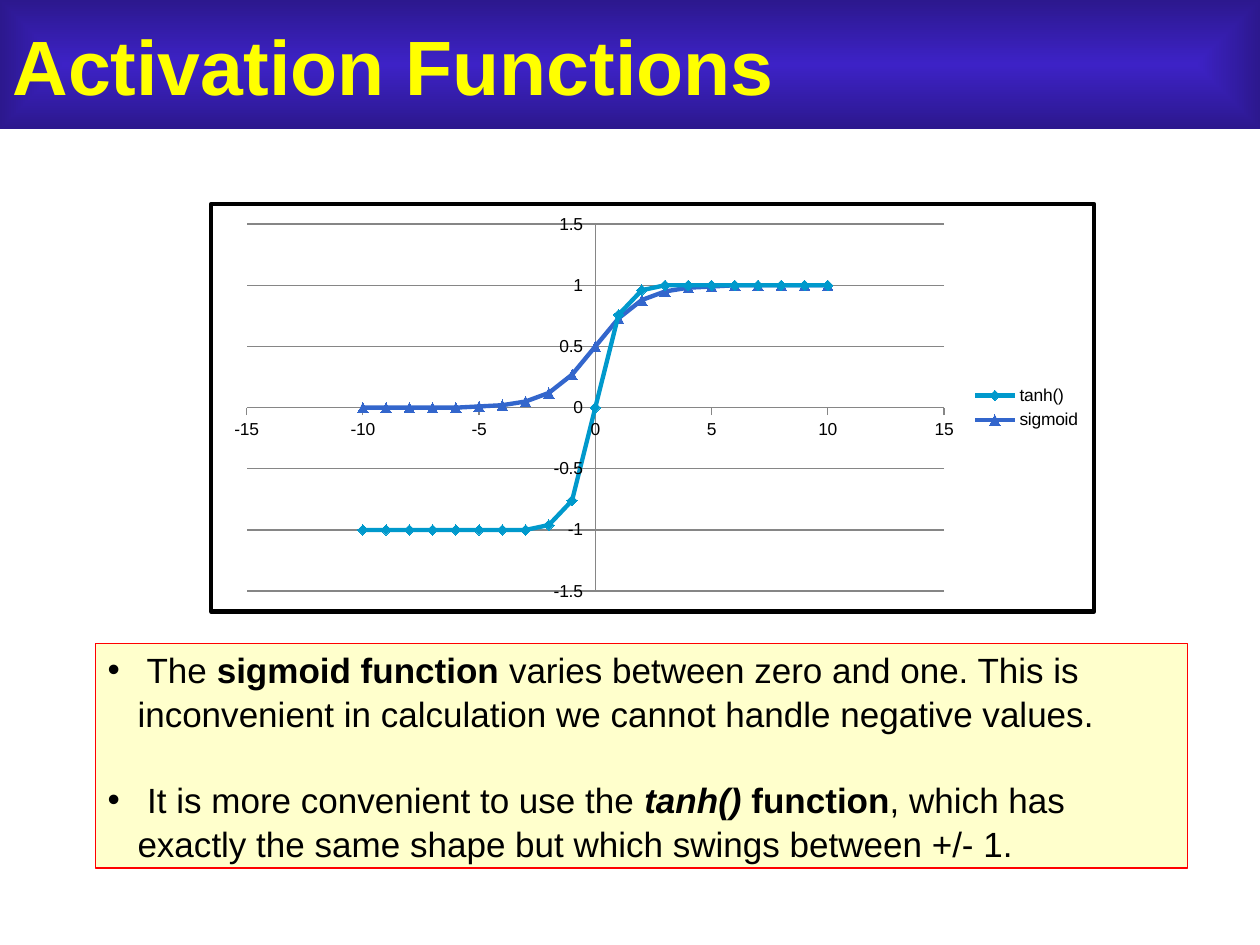
import math

from lxml import etree
from pptx import Presentation
from pptx.chart.data import XyChartData
from pptx.dml.color import RGBColor
from pptx.enum.chart import XL_CHART_TYPE, XL_LEGEND_POSITION, XL_MARKER_STYLE, XL_TICK_MARK
from pptx.enum.shapes import MSO_SHAPE
from pptx.enum.text import MSO_ANCHOR, PP_ALIGN
from pptx.oxml import parse_xml
from pptx.util import Pt

SCATTER = XL_CHART_TYPE.XY_SCATTER_SMOOTH
LEGEND_RIGHT = XL_LEGEND_POSITION.RIGHT
DIAMOND, TRIANGLE = XL_MARKER_STYLE.DIAMOND, XL_MARKER_STYLE.TRIANGLE
TICK_OUT, TICK_NONE = XL_TICK_MARK.OUTSIDE, XL_TICK_MARK.NONE
MIDDLE, LEFT = MSO_ANCHOR.MIDDLE, PP_ALIGN.LEFT
FONT = "Arial"
A = "http://schemas.openxmlformats.org/drawingml/2006/main"
C = "http://schemas.openxmlformats.org/drawingml/2006/chart"


def rgb(value):
    return RGBColor.from_string(value)


def style(font, size, color, bold=False, italic=False):
    font.name, font.size, font.bold, font.italic = FONT, Pt(size), bold, italic
    font.color.rgb = rgb(color)


prs = Presentation()
prs.slide_width, prs.slide_height = Pt(720), Pt(540)
s = prs.slides.add_slide(prs.slide_layouts[5])

title = s.shapes.title
title.left, title.top, title.width, title.height = Pt(0), Pt(0), Pt(720), Pt(73.5)
title.fill.gradient()
for stop, color in zip(title.fill.gradient_stops, ("3D22C6", "2C188E")):
    stop.color.rgb = rgb(color)
grad = title.element.spPr.find(f"{{{A}}}gradFill")
grad.remove(grad.find(f"{{{A}}}lin"))
grad.append(parse_xml(
    f'<a:path xmlns:a="{A}" path="shape">'
    '<a:fillToRect l="50000" t="50000" r="50000" b="50000"/></a:path>'))
tf = title.text_frame
tf.vertical_anchor = MIDDLE
p = tf.paragraphs[0]
p.alignment = LEFT
r = p.add_run()
r.text = "Activation Functions"
style(r.font, 44, "FFFF00", bold=True)

notes = s.shapes.add_shape(MSO_SHAPE.RECTANGLE, Pt(54.5), Pt(367.75), Pt(624.25), Pt(128.25))
notes.shadow.inherit = False
notes.fill.solid()
notes.fill.fore_color.rgb = rgb("FFFFCC")
notes.line.color.rgb = rgb("FF0000")
notes.line.width = Pt(0.75)
tf = notes.text_frame
tf.word_wrap = True
tf.vertical_anchor = MIDDLE
bullets = [
    [(" The ", False, False), ("sigmoid function ", True, False),
     ("varies between zero and one. This is inconvenient in calculation "
      "we cannot handle negative values.", False, False)],
    [(" It is more convenient to use the ", False, False), ("tanh()", True, True),
     (" function", True, False),
     (", which has exactly the same shape but which swings between +/- 1.", False, False)],
]
for i, runs in enumerate(bullets):
    p = tf.add_paragraph() if i else tf.paragraphs[0]
    p.alignment = LEFT
    p.line_spacing = 1.05
    if i:
        p.space_before = Pt(24)
    pPr = p._p.get_or_add_pPr()
    pPr.set("marL", str(Pt(17)))
    pPr.set("indent", str(-Pt(17)))
    etree.SubElement(pPr, f"{{{A}}}buFont", typeface=FONT)
    etree.SubElement(pPr, f"{{{A}}}buChar", char="•")
    for text, bold, italic in runs:
        r = p.add_run()
        r.text = text
        style(r.font, 20, "000000", bold, italic)

functions = [
    ("tanh()", math.tanh, "0099CC", DIAMOND),
    ("sigmoid", lambda x: 1 / (1 + math.exp(-x)), "3366CC", TRIANGLE),
]
data = XyChartData()
for name, function, _, _ in functions:
    points = data.add_series(name)
    for x in range(-10, 11):
        points.add_data_point(x, round(function(x), 2))
chart = s.shapes.add_chart(SCATTER, Pt(119.5), Pt(115.25), Pt(507), Pt(235.5), data).chart
chart.has_title = False
style(chart.font, 10, "000000")
chart.has_legend = True
chart.legend.position = LEGEND_RIGHT
chart.legend.include_in_layout = False

for series, (_, _, color, marker) in zip(chart.plots[0].series, functions):
    series.smooth = True
    series.format.line.color.rgb = rgb(color)
    series.format.line.width = Pt(2.5)
    series.marker.style = marker
    series.marker.size = 6
    series.marker.format.fill.solid()
    series.marker.format.fill.fore_color.rgb = rgb(color)
    series.marker.format.line.color.rgb = rgb(color)

for axis, limit, step in ((chart.category_axis, 15, 5), (chart.value_axis, 1.5, 0.5)):
    axis.minimum_scale, axis.maximum_scale, axis.major_unit = -limit, limit, step
    axis.major_tick_mark, axis.minor_tick_mark = TICK_OUT, TICK_NONE
    axis.tick_labels.number_format = "General"
    axis.tick_labels.number_format_is_linked = False
    axis.format.line.color.rgb = rgb("868686")
    axis.format.line.width = Pt(0.75)
chart.category_axis.has_major_gridlines = False
grid_line = chart.value_axis.major_gridlines.format.line
grid_line.color.rgb = rgb("868686")
grid_line.width = Pt(0.75)

space = chart._chartSpace
space.find(f"{{{C}}}txPr").addprevious(parse_xml(
    f'<c:spPr xmlns:c="{C}" xmlns:a="{A}">'
    '<a:solidFill><a:srgbClr val="FFFFFF"/></a:solidFill>'
    f'<a:ln w="{Pt(2.5)}"><a:solidFill><a:srgbClr val="000000"/></a:solidFill></a:ln></c:spPr>'))
plot_area = space.find(f".//{{{C}}}plotArea")
for old in plot_area.findall(f"{{{C}}}layout"):
    plot_area.remove(old)
plot_area.insert(0, parse_xml(
    f'<c:layout xmlns:c="{C}"><c:manualLayout><c:layoutTarget val="inner"/>'
    '<c:xMode val="edge"/><c:yMode val="edge"/>'
    '<c:x val="0.04"/><c:y val="0.05"/><c:w val="0.79"/><c:h val="0.9"/>'
    '</c:manualLayout></c:layout>'))

prs.save("out.pptx")
